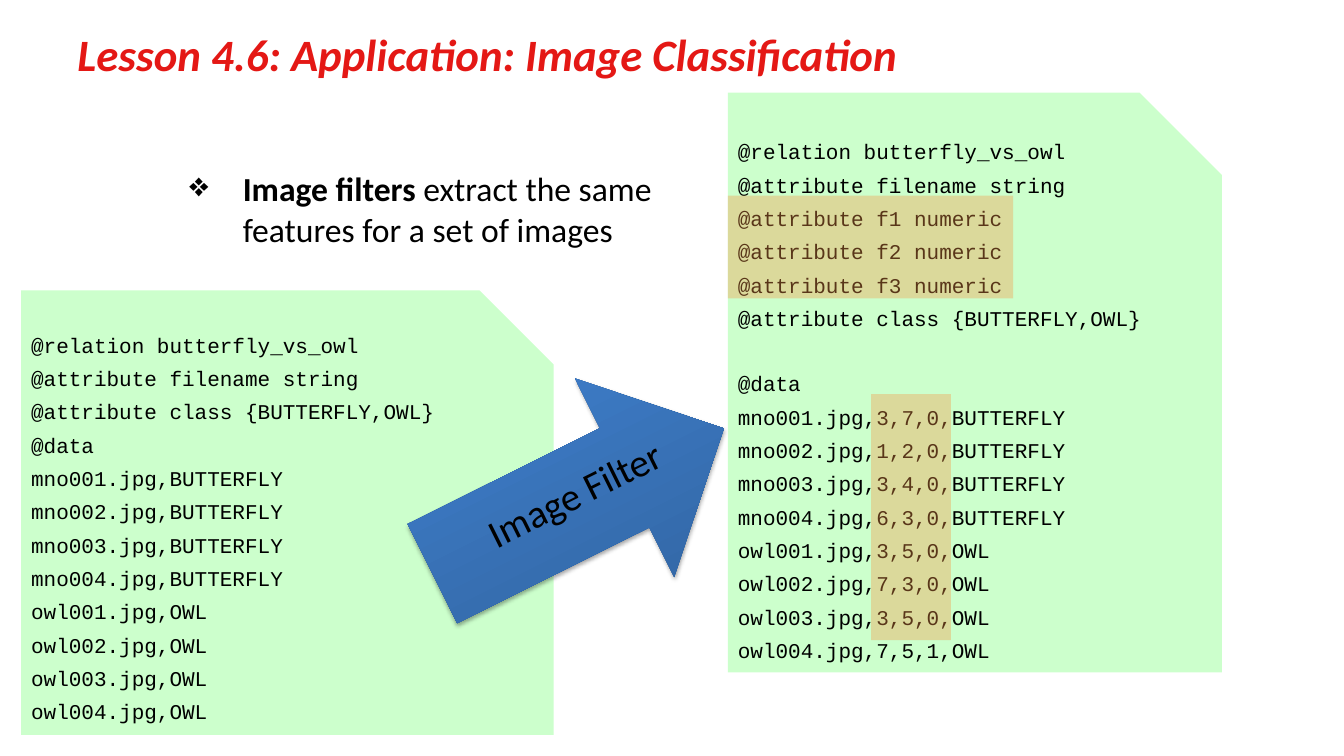
from dataclasses import dataclass
from lxml.etree import SubElement
from pptx import Presentation
from pptx.dml.color import RGBColor
from pptx.enum.shapes import MSO_SHAPE
from pptx.enum.text import MSO_ANCHOR, PP_ALIGN
from pptx.oxml import parse_xml
from pptx.oxml.ns import nsdecls, qn
from pptx.util import Inches, Pt


@dataclass(frozen=True)
class Theme:
    title: str = "E41815"
    ink: str = "000000"
    paper: str = "CCFFCC"
    mark: str = "F79646"
    dark: str = "2F5F99"
    light: str = "3D7CC7"
    sans: str = "Calibri"
    mono: str = "Courier New"
    head: int = 32
    body: int = 24
    label: int = 28
    code: int = 15
    gap: float = 5.8  # points between code lines
    blank: float = 28.6  # points before a new code section


THEME = Theme()
HEADER = ["@relation butterfly_vs_owl", "@attribute filename string"]
CLASS = "@attribute class {BUTTERFLY,OWL}"
FEATS = ["3,7,0", "1,2,0", "3,4,0", "6,3,0", "3,5,0", "7,3,0", "3,5,0", "7,5,1"]
IMAGES = [(f"{stem}{num:03}.jpg", kind)
          for stem, kind in (("mno", "BUTTERFLY"), ("owl", "OWL"))
          for num in range(1, 5)]


def color(code):
    return RGBColor.from_string(code)


def style(part, size, face=THEME.sans, ink=THEME.ink, bold=False, italic=False):
    font = part.font
    font.size, font.name = Pt(size), face
    font.bold, font.italic = bold, italic
    font.color.rgb = color(ink)


def add_box(slide, box):
    shape = slide.shapes.add_textbox(*map(Inches, box))
    shape.text_frame.word_wrap = True
    return shape


def add_form(slide, kind, box):
    shape = slide.shapes.add_shape(kind, *map(Inches, box))
    shape.shadow.inherit = False
    shape.line.fill.background()
    return shape


def add_title(slide, box):
    frame = add_box(slide, box).text_frame
    frame.vertical_anchor = MSO_ANCHOR.MIDDLE
    frame.text = "Lesson 4.6: Application: Image Classification"
    style(frame.paragraphs[0].runs[0], THEME.head, ink=THEME.title,
          bold=True, italic=True)


def add_point(slide, box):
    para = add_box(slide, box).text_frame.paragraphs[0]
    props = para._p.get_or_add_pPr()
    props.set("marL", str(Inches(0.53)))
    props.set("indent", str(-Inches(0.53)))
    SubElement(props, qn("a:buChar")).set("char", "❖")
    for text, bold in (("Image filters ", True),
                       ("extract the same features for a set of images", False)):
        run = para.add_run()
        run.text = text
        style(run, THEME.body, bold=bold)


def add_file(slide, box, lines, breaks=()):
    """Draw a code sheet; breaks names lines that follow an empty row."""
    sheet = add_form(slide, MSO_SHAPE.SNIP_1_RECTANGLE, box)
    sheet.fill.solid()
    sheet.fill.fore_color.rgb = color(THEME.paper)
    frame = sheet.text_frame
    frame.word_wrap = True
    frame.vertical_anchor = MSO_ANCHOR.TOP
    frame.text = "\n".join(lines)
    for row, para in enumerate(frame.paragraphs):
        para.alignment = PP_ALIGN.LEFT
        if row:
            para.space_before = Pt(THEME.blank if para.text in breaks else THEME.gap)
        style(para.runs[0], THEME.code, THEME.mono)


def add_mark(slide, box):
    mark = add_form(slide, MSO_SHAPE.RECTANGLE, box)
    mark.fill.solid()
    mark.fill.fore_color.rgb = color(THEME.mark)
    tint = mark._element.spPr.find(qn("a:solidFill"))[0]
    SubElement(tint, qn("a:alpha")).set("val", "36000")


def add_arrow(slide, box):
    left, top, width, height = box
    arrow = add_form(slide, MSO_SHAPE.RIGHT_ARROW, box)
    arrow.rotation = 333.5
    # Blend from dark at the base to light
    arrow.fill.gradient()
    arrow.fill.gradient_angle = 90
    for stop, tone, place in zip(arrow.fill.gradient_stops,
                                 (THEME.dark, THEME.light), (0, 0.8)):
        stop.color.rgb = color(tone)
        stop.position = place
    # Soft shadow below
    effects = arrow._element.spPr.find(qn("a:effectLst"))
    effects.append(parse_xml(
        f'<a:outerShdw {nsdecls("a")} blurRad="{Pt(3.1)}" dist="{Pt(1.8)}" '
        f'dir="5400000" rotWithShape="0"><a:srgbClr val="{THEME.ink}">'
        '<a:alpha val="35000"/></a:srgbClr></a:outerShdw>'))
    # Label along the shaft
    label = add_box(slide, (left + 0.26, top + 0.5, width - 0.58, height / 2))
    label.rotation = arrow.rotation
    frame = label.text_frame
    frame.vertical_anchor = MSO_ANCHOR.MIDDLE
    frame.text = "Image Filter"
    para = frame.paragraphs[0]
    para.alignment = PP_ALIGN.CENTER
    para.line_spacing = 0.9
    style(para.runs[0], THEME.label)


def add_result(slide, box):
    left, top = box[:2]
    attrs = [f"@attribute f{num} numeric" for num in range(1, 4)]
    rows = [f"{name},{feat},{kind}" for (name, kind), feat in zip(IMAGES, FEATS)]
    add_file(slide, box, HEADER + attrs + [CLASS, "@data"] + rows, ("@data",))
    return [(left, top + 1.02, 2.83, 1.02), (left + 1.42, top + 2.99, 0.79, 2.44)]


def main():
    deck = Presentation()
    deck.slide_width, deck.slide_height = Inches(13.33), Inches(7.5)
    slide = deck.slides.add_slide(deck.slide_layouts[6])
    add_title(slide, (0.67, 0, 9.88, 1.07))
    add_point(slide, (1.78, 1.62, 5.43, 4.8))
    # File before and after the filter
    add_file(slide, (0.21, 2.88, 5.28, 4.41),
             HEADER + [CLASS, "@data"] + [",".join(image) for image in IMAGES])
    marks = add_result(slide, (7.22, 0.92, 4.9, 5.75))
    add_arrow(slide, (4.12, 3.87, 3.23, 2.2))
    # Highlights over the new features
    for box in marks:
        add_mark(slide, box)
    deck.save("out.pptx")


if __name__ == "__main__":
    main()
